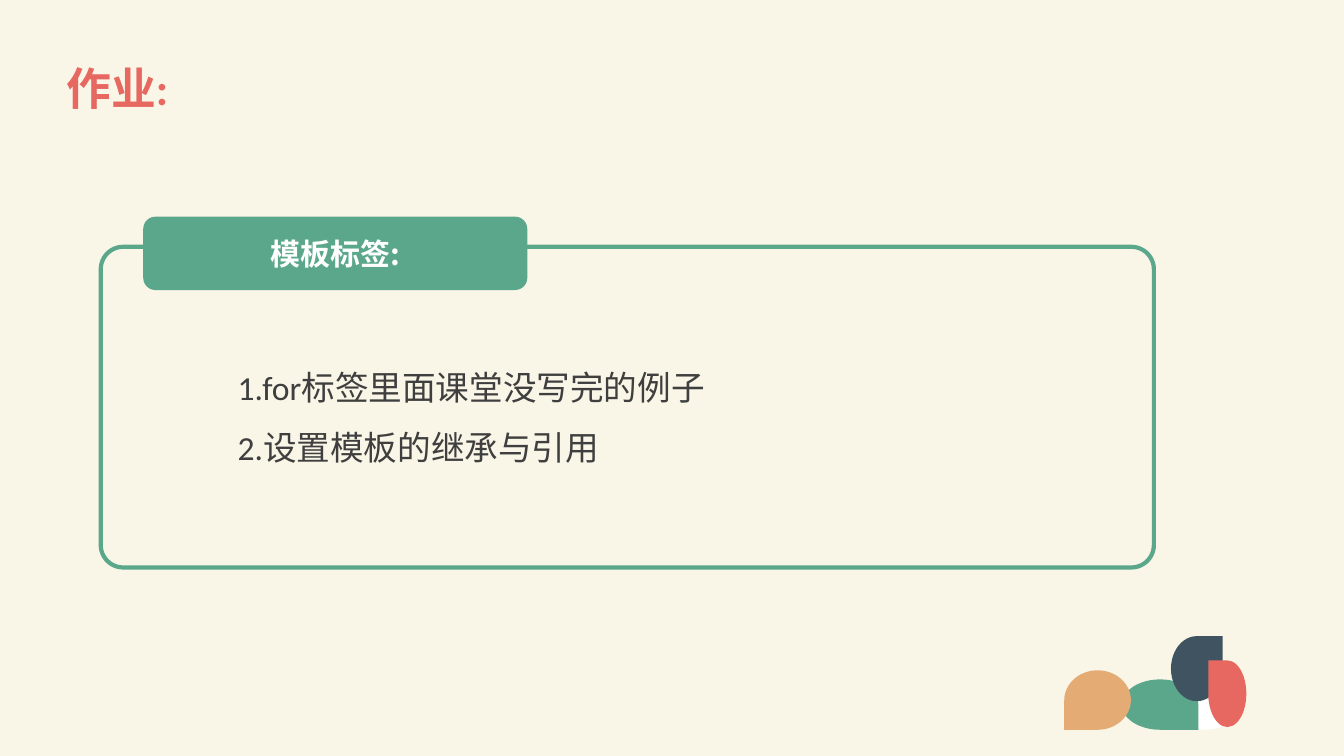
from lxml.etree import SubElement
from pptx import Presentation
from pptx.dml.color import RGBColor
from pptx.enum.shapes import MSO_SHAPE as Shape
from pptx.enum.text import MSO_ANCHOR as Anchor, PP_ALIGN as Align
from pptx.oxml.ns import qn
from pptx.util import Cm, Pt

CREAM, WHITE, GREEN, NAVY = "F9F6E7", "FFFFFF", "5BA78C", "3F5361"
CORAL, TAN, GRAY = "E76861", "E5AB74", "3F3F3F"
CJK = "Noto Sans CJK SC"

TITLE = ["作业:"]
LABEL = ["模板标签:"]
TASKS = ["1.for标签里面课堂没写完的例子", "2.设置模板的继承与引用"]

TITLE_BOX = (1.42, 0.94, 31.22, 2.69)
FRAME_BOX = (2.54, 6.22, 26.54, 8.08)
LABEL_BOX = (3.61, 5.46, 9.68, 1.85)
TASKS_BOX = (5.74, 8.61, 12.37, 3.18)
PEBBLE_BOX = (29.57, 17.63, 1.52, 0.76)
# Each leaf: box, colour, clockwise turn of its pointed corner from top right
LEAVES = [
    ((28.27, 17.12, 1.93, 1.27), GREEN, 90),
    ((29.51, 16.03, 1.3, 1.64), NAVY, 0),
    ((30.45, 16.64, 0.96, 1.68), CORAL, 270),
    ((26.82, 16.89, 1.68, 1.5), TAN, 180),
]


def paint(fmt, color):
    fmt.solid()
    fmt.fore_color.rgb = RGBColor.from_string(color)


def add_shape(slide, kind, box, color=None, turn=0):
    left, top, width, height = box
    if turn % 180:
        left, top = left + (width - height) / 2, top + (height - width) / 2
        width, height = height, width
    sp = slide.shapes.add_shape(kind, *map(Cm, (left, top, width, height)))
    sp.shadow.inherit = False
    sp.rotation = turn
    sp.line.fill.background()
    if color:
        paint(sp.fill, color)
    else:
        sp.fill.background()
    return sp


def write(sp, lines, size, color, font="Calibri", bold=False,
          align=Align.LEFT, anchor=Anchor.MIDDLE, spacing=1.0):
    tf = sp.text_frame
    tf.word_wrap = True
    tf.vertical_anchor = anchor
    tf.text = "\n".join(lines)
    for p in tf.paragraphs:
        p.alignment, p.line_spacing = align, spacing
        p.font.size, p.font.bold, p.font.name = Pt(size), bold, font
        paint(p.font.fill, color)
        SubElement(p._p.pPr.find(qn("a:defRPr")), qn("a:ea"), typeface=CJK)


def main():
    """Build the homework slide."""
    prs = Presentation()
    prs.slide_width, prs.slide_height = Cm(33.87), Cm(19.05)
    slide = prs.slides.add_slide(prs.slide_layouts[6])
    paint(slide.background.fill, CREAM)

    add_shape(slide, Shape.OVAL, PEBBLE_BOX, WHITE)
    title = slide.shapes.add_textbox(*map(Cm, TITLE_BOX))
    write(title, TITLE, 32, CORAL, bold=True, spacing=0.9)
    for box, color, turn in LEAVES:
        add_shape(slide, Shape.TEAR, box, color, turn)

    frame = add_shape(slide, Shape.ROUNDED_RECTANGLE, FRAME_BOX)
    frame.adjustments[0] = 0.07
    paint(frame.line.fill, GREEN)
    frame.line.width = Pt(3)

    label = add_shape(slide, Shape.ROUNDED_RECTANGLE, LABEL_BOX, GREEN)
    write(label, LABEL, 21.4, WHITE, CJK, bold=True, align=Align.CENTER)
    tasks = slide.shapes.add_textbox(*map(Cm, TASKS_BOX))
    write(tasks, TASKS, 24, GRAY, anchor=Anchor.TOP, spacing=1.5)

    prs.save("out.pptx")


if __name__ == "__main__":
    main()
